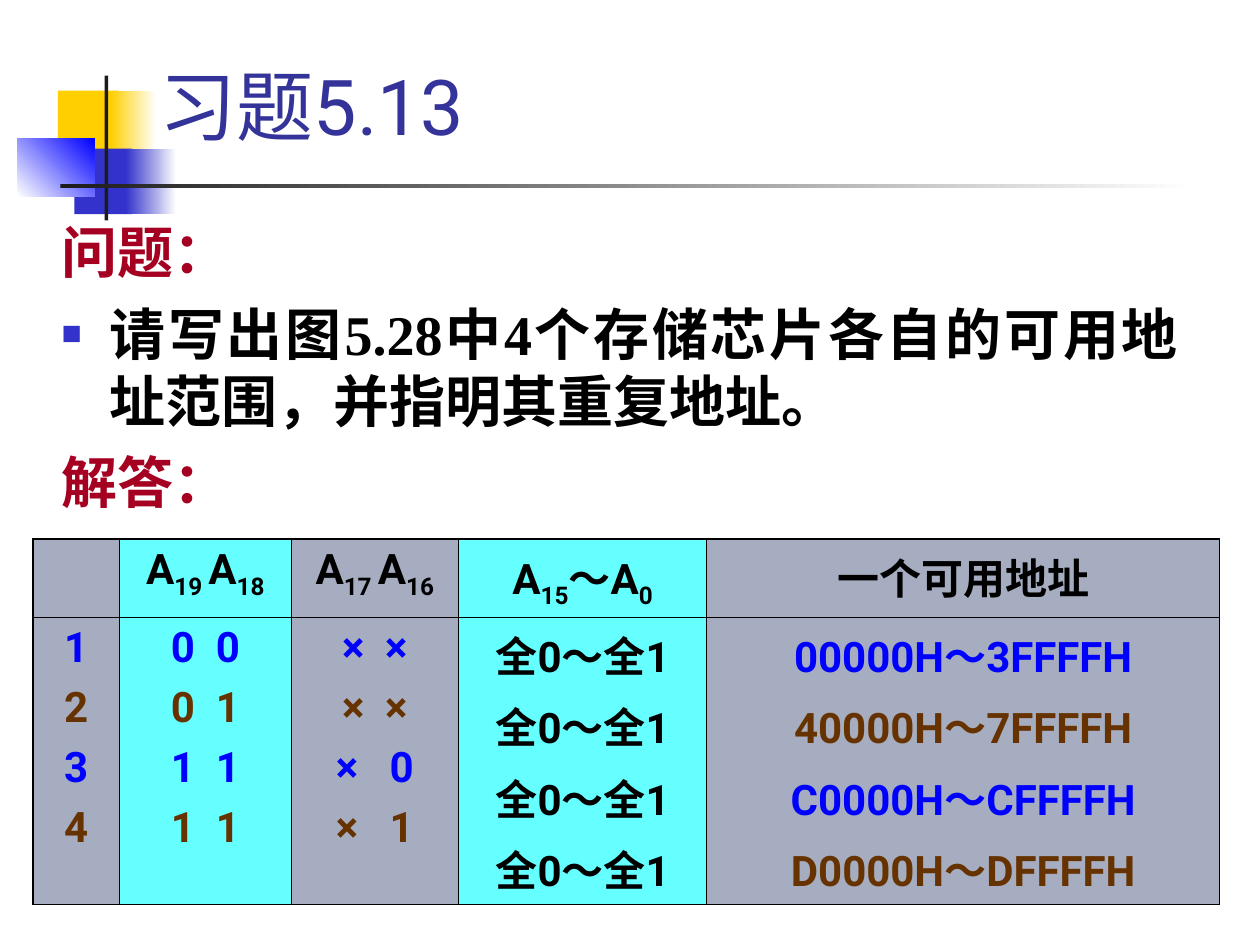
from lxml import etree
from pptx import Presentation
from pptx.dml.color import RGBColor
from pptx.enum.shapes import MSO_SHAPE
from pptx.enum.text import MSO_ANCHOR, PP_ALIGN
from pptx.oxml.ns import qn
from pptx.util import Inches, Pt

RECT = MSO_SHAPE.RECTANGLE
TOP, BOTTOM = MSO_ANCHOR.TOP, MSO_ANCHOR.BOTTOM
LEFT, CENTER, JUST = PP_ALIGN.LEFT, PP_ALIGN.CENTER, PP_ALIGN.JUSTIFY

SANS, SERIF = "Roboto", "Times New Roman"
BLACK, WHITE, DARK = "000000", "FFFFFF", "1C1C1C"
GOLD, NAVY, BLUE = "FFCF01", "3333CC", "0000FF"
RED, BROWN = "A50021", "663300"
GRAY, CYAN = "A6ADC0", "66FFFF"

BLOCKS = [
    (0.46, 0.72, 0.48, 0.52, GOLD, None, 0),
    (0.88, 0.72, 0.36, 0.52, GOLD, WHITE, 0),
    (0.59, 1.18, 0.46, 0.52, NAVY, None, 0),
    (1, 1.18, 0.4, 0.52, NAVY, WHITE, 0),
    (0.14, 1.1, 0.61, 0.46, WHITE, BLUE, 45),
    (0.83, 0.6, 0.03, 1.15, DARK, None, 0),
    (0.48, 1.46, 9, 0.03, DARK, WHITE, 0),
]
BODY = [
    ("问题：", SANS, RED, False),
    ("请写出图5.28中4个存储芯片各自的可用地址范围，并指明其重复地址。", SERIF, BLACK, True),
    ("解答：", SERIF, RED, False),
]
WIDTHS = [0.69, 1.36, 1.33, 1.97, 4.07]
HEIGHTS = [0.62, 2.28]
HEADS = [
    [],
    ["A", "19 ", "A", "18"],
    ["A", "17 ", "A", "16"],
    ["A", "15", "～A", "0"],
    ["一个可用地址"],
]
COLUMNS = [
    ["1", "2", "3", "4"],
    ["0  0", "0  1", "1  1", "1  1"],
    ["×  ×", "×  ×", "×   0", "×   1"],
    ["全0～全1"] * 4,
    ["00000H～3FFFFH", "40000H～7FFFFH", "C0000H～CFFFFH", "D0000H～DFFFFH"],
]
RANGE = 3


def color(code):
    return RGBColor.from_string(code)


def style(font, face, size, code, bold=False):
    font.name, font.size, font.bold = face, Pt(size), bold
    font.color.rgb = color(code)


def add_block(slide, x, y, w, h, start, end, angle):
    block = slide.shapes.add_shape(RECT, Inches(x), Inches(y), Inches(w), Inches(h))
    block.shadow.inherit = False
    block.line.fill.background()
    if end is None:
        block.fill.solid()
        block.fill.fore_color.rgb = color(start)
        return
    block.fill.gradient()
    block.fill.gradient_angle = angle
    for stop, code in zip(block.fill.gradient_stops, (start, end)):
        stop.color.rgb = color(code)


def add_frame(slide, x, y, w, h, anchor):
    box = slide.shapes.add_textbox(Inches(x), Inches(y), Inches(w), Inches(h))
    frame = box.text_frame
    frame.word_wrap = True
    frame.vertical_anchor = anchor
    return frame


def next_para(frame, index, align, gap):
    para = frame.add_paragraph() if index else frame.paragraphs[0]
    para.alignment = align
    if index:
        para.space_before = Pt(gap)
    return para


def add_bullet(props):
    tint = etree.SubElement(props, qn("a:buClr"))
    etree.SubElement(tint, qn("a:srgbClr"), val=NAVY)
    etree.SubElement(props, qn("a:buSzPct"), val="60000")
    etree.SubElement(props, qn("a:buFont"), typeface=SERIF)
    etree.SubElement(props, qn("a:buChar"), char="■")


def add_title(slide):
    frame = add_frame(slide, 1.17, 0.33, 8.52, 0.92, BOTTOM)
    para = next_para(frame, 0, LEFT, 0)
    para.text = "习题5.13"
    style(para.runs[0].font, SANS, 44, "333399")


def add_body(slide):
    frame = add_frame(slide, 0.39, 1.68, 9.06, 2.53, TOP)
    for i, (text, face, code, mark) in enumerate(BODY):
        para = next_para(frame, i, JUST, 8)
        props = para._p.get_or_add_pPr()
        props.set("marL", str(Inches(0.38)))
        props.set("indent", str(Inches(-0.38)))
        if mark:
            add_bullet(props)
        para.text = text
        style(para.runs[0].font, face, 32, code, True)


def set_cell(cell, code, edges):
    props = cell._tc.get_or_add_tcPr()
    for side, outer in zip(("L", "R", "T", "B"), edges):
        width = Pt(1.08 if outer else 0.45)
        line = etree.SubElement(props, qn(f"a:ln{side}"), w=str(width))
        paint = etree.SubElement(line, qn("a:solidFill"))
        etree.SubElement(paint, qn("a:srgbClr"), val=BLACK)
    cell.fill.solid()
    cell.fill.fore_color.rgb = color(code)


def fill_head(frame, parts):
    para = next_para(frame, 0, CENTER, 0)
    for i, part in enumerate(parts):
        run = para.add_run()
        run.text = part
        style(run.font, SANS, 24, BLACK, True)
        if i % 2:
            run._r.get_or_add_rPr().set("baseline", "-25000")


def fill_list(frame, lines, codes):
    for i, line in enumerate(lines):
        para = next_para(frame, i, CENTER, 6)
        para.text = line
        style(para.runs[0].font, SANS, 24, codes[i % 2], True)


def add_grid(slide):
    shape = slide.shapes.add_table(
        2, len(WIDTHS), Inches(0.26), Inches(4.28),
        Inches(sum(WIDTHS)), Inches(sum(HEIGHTS)))
    table = shape.table
    table.first_row = table.horz_banding = False
    for row, height in zip(table.rows, HEIGHTS):
        row.height = Inches(height)
    last = len(WIDTHS) - 1
    for c, width in enumerate(WIDTHS):
        table.columns[c].width = Inches(width)
        for r in range(2):
            edges = (c == 0, c == last, r == 0, r == 1)
            set_cell(table.cell(r, c), CYAN if c % 2 else GRAY, edges)
        codes = (BLACK, BLACK) if c == RANGE else (BLUE, BROWN)
        fill_head(table.cell(0, c).text_frame, HEADS[c])
        fill_list(table.cell(1, c).text_frame, COLUMNS[c], codes)


def main():
    deck = Presentation()
    deck.slide_width, deck.slide_height = Inches(10), Inches(7.5)
    slide = deck.slides.add_slide(deck.slide_layouts[6])
    for block in BLOCKS:
        add_block(slide, *block)
    add_title(slide)
    add_body(slide)
    add_grid(slide)
    deck.save("out.pptx")


if __name__ == "__main__":
    main()
